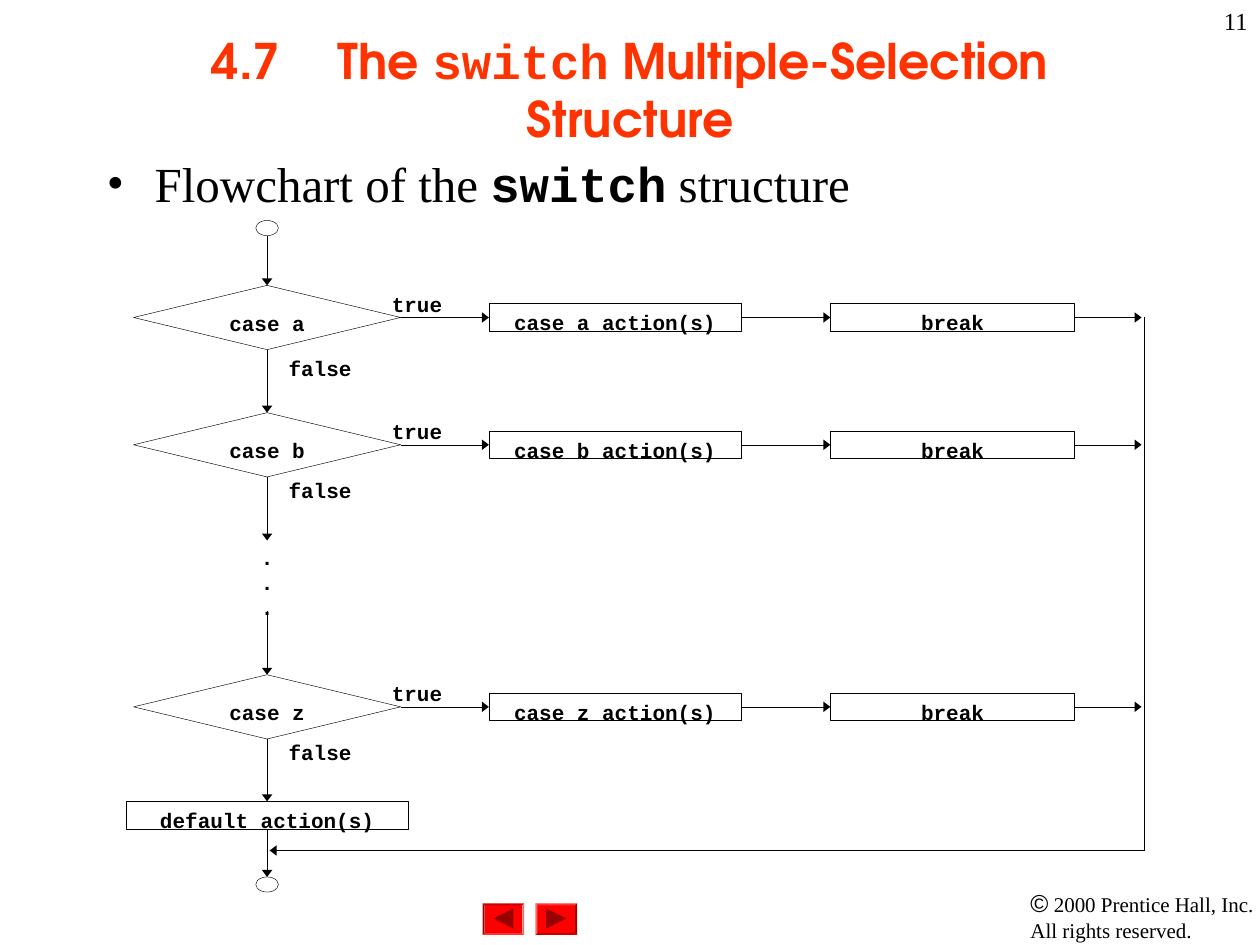
from lxml.etree import SubElement
from pptx import Presentation
from pptx.dml.color import RGBColor
from pptx.enum.shapes import MSO_CONNECTOR as Link, MSO_SHAPE as Shape
from pptx.enum.text import MSO_ANCHOR as Anchor, PP_ALIGN as Align
from pptx.oxml.ns import qn
from pptx.util import Inches, Pt

COLORS = {"ink": "000000", "title": "FF3300", "paper": "FFFFFF",
          "button": "FF0000", "button_arrow": "990000"}
SERIF, SANS, CODE, DISPLAY = "Times New Roman", "Arial", "Courier New", "TeX Gyre Adventor"

# Flowchart grid: columns are (left, width), rows are centre lines.
COLUMNS = {"test": (1.06, 2.12), "action": (3.88, 2), "break": (6.59, 1.94),
           "default": (1, 2.24)}
ROWS = {"start": 1.81, "a": 2.52, "b": 3.53, "z": 5.61,
        "default": 6.47, "merge": 6.75, "end": 7.02}
SPINE, RETURN = 2.12, 9.08
DIAMOND_HEIGHT, BOX_HEIGHT = 0.51, 0.22
CIRCLE_WIDTH, CIRCLE_HEIGHT = 0.18, 0.12
TOP, LEFT, BOTTOM, RIGHT = range(4)


def color(name):
    return RGBColor.from_string(COLORS[name])


def write(frame, *paragraphs, align=Align.LEFT, anchor=Anchor.TOP, insets=(0, 0, 0, 0),
          wrap=True, size=12, font=CODE, bold=True, ink="ink"):
    """Fill a frame; each paragraph is a list of (text, overrides), where "\\n" breaks a line."""
    frame.word_wrap, frame.vertical_anchor = wrap, anchor
    (frame.margin_left, frame.margin_top,
     frame.margin_right, frame.margin_bottom) = map(Inches, insets)
    for index, spans in enumerate(paragraphs):
        para = frame.add_paragraph() if index else frame.paragraphs[0]
        para.alignment = align
        for text, overrides in spans:
            if text == "\n":
                para.add_line_break()
                continue
            style = {"size": size, "font": font, "bold": bold} | overrides
            span = para.add_run()
            span.text = text
            span.font.name, span.font.size = style["font"], Pt(style["size"])
            span.font.bold, span.font.color.rgb = style["bold"], color(ink)


def add_text(page, area, *paragraphs, **text_format):
    box = page.shapes.add_textbox(*map(Inches, area))
    write(box.text_frame, *paragraphs, **text_format)
    return box


def add_shape(page, kind, area, fill=None, outlined=True):
    shape = page.shapes.add_shape(kind, *map(Inches, area))
    shape.shadow.inherit = False
    if fill:
        shape.fill.solid()
        shape.fill.fore_color.rgb = color(fill)
    else:
        shape.fill.background()
    if outlined:
        shape.line.color.rgb, shape.line.width = color("ink"), Pt(0.25)
    else:
        shape.line.fill.background()
    return shape


def add_step(page, column, row, label, kind=Shape.RECTANGLE):
    """Place a labelled flowchart step, centred on its row."""
    left, width = COLUMNS[column]
    is_test = kind == Shape.DIAMOND
    height = DIAMOND_HEIGHT if is_test else BOX_HEIGHT
    step = add_shape(page, kind, (left, ROWS[row] - height / 2, width, height),
                     "paper" if is_test else None)
    write(step.text_frame, [(label, {})], align=Align.CENTER, wrap=False,
          insets=(0, 0.07 if is_test else 0.05, 0, 0))
    return step


def add_line(page, start, end, source=None, target=None, arrow=True):
    """Draw a line; source and target are (shape, side) pairs to join."""
    line = page.shapes.add_connector(Link.STRAIGHT, *map(Inches, (*start, *end)))
    line.line.color.rgb, line.line.width = color("ink"), Pt(0.25)
    if arrow:
        SubElement(line.line._get_or_add_ln(), qn("a:tailEnd"),
                   type="triangle", w="med", len="sm")
    SubElement(line._element.spPr, qn("a:effectLst"))
    if source:
        line.begin_connect(*source)
    if target:
        line.end_connect(*target)


def add_circle(page, row):
    add_shape(page, Shape.OVAL, (SPINE - CIRCLE_WIDTH / 2, ROWS[row] - CIRCLE_HEIGHT / 2,
                                 CIRCLE_WIDTH, CIRCLE_HEIGHT))


def add_case(page, letter, false_offset):
    """Draw one row: test, action, break and the arrow to the return line."""
    y = ROWS[letter]
    test = add_step(page, "test", letter, f"case {letter}", Shape.DIAMOND)
    action = add_step(page, "action", letter, f"case {letter} action(s)")
    leave = add_step(page, "break", letter, "break")
    for source, target in ((test, action), (action, leave)):
        add_line(page, (0, y), (1, y), (source, RIGHT), (target, LEFT))
    add_line(page, (8.53, y), (RETURN - 0.02, y), (leave, RIGHT))
    add_text(page, (3.11, y - 0.21, 0.63, 0.25), [("true", {})])
    add_text(page, (2.29, y + false_offset, 0.76, 0.25), [("false", {})])
    return test


def add_flowchart(page):
    add_circle(page, "start")
    add_circle(page, "end")
    tests = {letter: add_case(page, letter, offset)
             for letter, offset in (("a", 0.3), ("b", 0.26), ("z", 0.26))}
    default = add_step(page, "default", "default", "default action(s)")
    add_text(page, (SPINE - 0.09, 4.32, 0.18, 0.61), *[[(".", {})]] * 3, align=Align.CENTER)

    def drop(start, end, source=None, target=None):
        add_line(page, (SPINE, start), (SPINE, end), source and (source, BOTTOM),
                 target and (target, TOP))

    drop(ROWS["start"] + CIRCLE_HEIGHT / 2, 2.26, target=tests["a"])
    drop(2.77, 3.27, tests["a"], tests["b"])
    drop(3.79, 4.29, tests["b"])
    drop(4.85, 5.35, target=tests["z"])
    drop(5.86, 6.36, tests["z"], default)
    drop(6.58, ROWS["end"] - CIRCLE_HEIGHT / 2, default)
    add_line(page, (RETURN, ROWS["a"]), (RETURN, ROWS["merge"]), arrow=False)
    add_line(page, (RETURN, ROWS["merge"]), (SPINE + 0.02, ROWS["merge"]))


def add_button(page, left, turn):
    """Draw a bevelled navigation button; a turn of 180 makes it point left."""
    face = add_shape(page, Shape.BEVEL, (left, 7.17, 0.33, 0.25), "button", outlined=False)
    face.adjustments[0] = 0.06
    face.rotation = turn
    arrow = add_shape(page, Shape.ISOSCELES_TRIANGLE, (left + 0.085, 7.21, 0.16, 0.16),
                      "button_arrow", outlined=False)
    arrow.rotation = turn + 90


def add_bullet(para):
    properties = para._p.get_or_add_pPr()
    properties.set("marL", str(Inches(0.38)))
    properties.set("indent", str(-Inches(0.38)))
    SubElement(properties, qn("a:buFont"), typeface=SERIF)
    SubElement(properties, qn("a:buChar"), char="•")


def main():
    deck = Presentation()
    deck.slide_width, deck.slide_height = Inches(10), Inches(7.5)
    page = deck.slides.add_slide(deck.slide_layouts[6])
    padding = (0.1, 0.05, 0.1, 0.05)

    add_text(page, (8.08, 7, 1.92, 0.5),
             [("©", {"font": SANS, "size": 14}), (" 2000 Prentice Hall, Inc.", {}),
              ("\n", {}), ("All rights reserved.", {})],
             font=SERIF, bold=False, insets=(0.1, 0.05, 0, 0))
    add_button(page, 3.83, 180)
    add_button(page, 4.25, 0)
    add_text(page, (7.92, 0, 2.08, 0.5), [("11", {})], size=14, font=SERIF, bold=False,
             align=Align.RIGHT, insets=padding)
    add_text(page, (0.75, 0.08, 8.5, 1.25),
             [("4.7\tThe ", {}), ("switch", {"font": CODE}),
              (" Multiple-Selection Structure", {})],
             size=28, font=DISPLAY, ink="title", align=Align.CENTER,
             anchor=Anchor.MIDDLE, insets=padding)
    body = add_text(page, (0.75, 1.17, 8.5, 5.92),
                    [("Flowchart of the ", {}), ("switch", {"font": CODE, "bold": True}),
                     (" structure", {})],
                    size=28, font=SERIF, bold=False, insets=padding)
    add_bullet(body.text_frame.paragraphs[0])
    add_flowchart(page)
    deck.save("out.pptx")


if __name__ == "__main__":
    main()
